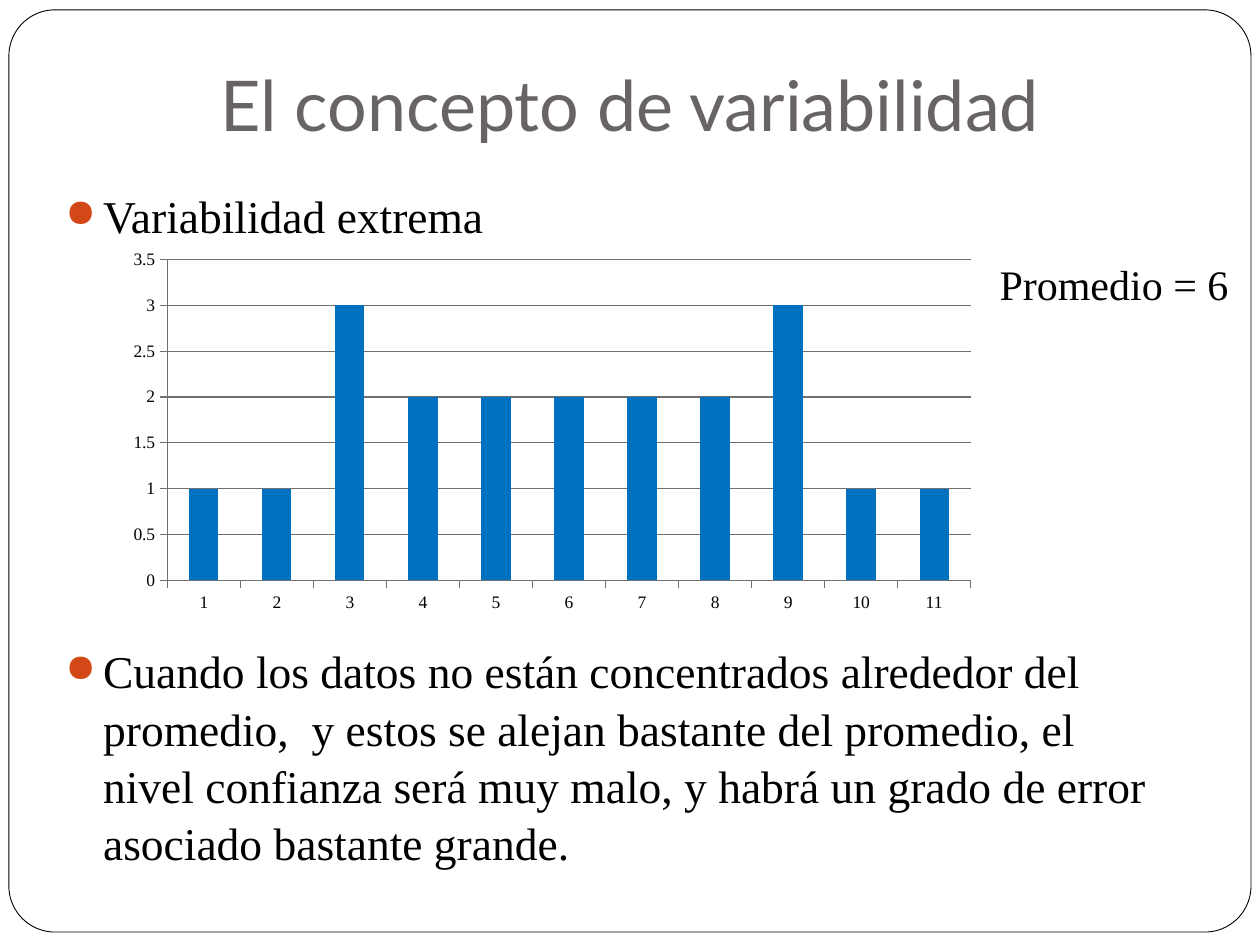
from dataclasses import dataclass

from lxml.etree import SubElement
from pptx import Presentation
from pptx.chart.data import CategoryChartData
from pptx.dml.color import RGBColor
from pptx.enum.chart import XL_CHART_TYPE as ChartType, XL_TICK_MARK as Tick
from pptx.enum.shapes import MSO_SHAPE as Shape
from pptx.enum.text import MSO_ANCHOR as Anchor, PP_ALIGN as Align
from pptx.oxml.ns import qn
from pptx.util import Cm, Pt


@dataclass(frozen=True)
class Theme:
    title_font: str = "Lato"
    body_font: str = "Times New Roman"
    title_size: int = 40
    body_size: int = 26
    note_size: int = 24
    chart_size: int = 10
    title: str = "696464"
    text: str = "000000"
    paper: str = "FFFFFF"
    bullet: str = "D34817"
    bar: str = "0070C0"
    grid: str = "707070"


THEME = Theme()
FREQUENCIES = [1, 1, 3, 2, 2, 2, 2, 2, 3, 1, 1]
BULLETS = [
    "Variabilidad extrema",
    "Cuando los datos no están concentrados alrededor del promedio,  y estos "
    "se alejan bastante del promedio, el nivel confianza será muy malo, y "
    "habrá un grado de error asociado bastante grande.",
]
CHART_GAP = Pt(227.5)


def rgb(value):
    return RGBColor.from_string(value)


def set_font(font, name, size, color):
    font.name, font.size = name, Pt(size)
    font.color.rgb = rgb(color)


def add_frame(slide):
    sp = slide.shapes.add_shape(Shape.ROUNDED_RECTANGLE,
                                Cm(0.18), Cm(0.2), Cm(25.04), Cm(18.59))
    sp.adjustments[0] = 0.05
    sp.shadow.inherit = False
    sp.fill.solid()
    sp.fill.fore_color.rgb = rgb(THEME.paper)
    sp.line.color.rgb = rgb(THEME.text)
    sp.line.width = Pt(0.5)


def add_text(slide, box, paragraphs, font, size, color):
    tf = slide.shapes.add_textbox(*map(Cm, box)).text_frame
    tf.word_wrap = True
    tf.text = "\n".join(paragraphs)
    for p in tf.paragraphs:
        for r in p.runs:
            set_font(r.font, font, size, color)
    return tf


def add_bullet(p):
    pPr = p._p.get_or_add_pPr()
    pPr.set("marL", str(Cm(0.76)))
    pPr.set("indent", str(-Cm(0.76)))
    color = SubElement(pPr, qn("a:buClr"))
    SubElement(color, qn("a:srgbClr"), val=THEME.bullet)
    SubElement(pPr, qn("a:buSzPct"), val="85000")
    SubElement(pPr, qn("a:buChar"), char="●")


def add_bullets(slide):
    """Two points, with room for the chart between them."""
    tf = add_text(slide, (1.07, 3.61, 22.66, 14.6), BULLETS,
                  THEME.body_font, THEME.body_size, THEME.text)
    for p in tf.paragraphs:
        p.line_spacing = 1.05
    tf.paragraphs[1].space_before = CHART_GAP
    for p in tf.paragraphs:
        add_bullet(p)


def add_column_chart(slide):
    data = CategoryChartData()
    data.categories = [str(n) for n in range(1, len(FREQUENCIES) + 1)]
    data.add_series("Series 1", FREQUENCIES)
    chart = slide.shapes.add_chart(ChartType.COLUMN_CLUSTERED, Cm(2.34), Cm(4.88),
                                   Cm(17.58), Cm(7.62), data).chart
    chart.has_legend = chart.has_title = False
    set_font(chart.font, THEME.body_font, THEME.chart_size, THEME.text)

    plot = chart.plots[0]
    plot.gap_width = 150
    plot.vary_by_categories = False
    fill = plot.series[0].format.fill
    fill.solid()
    fill.fore_color.rgb = rgb(THEME.bar)

    values = chart.value_axis
    values.minimum_scale, values.maximum_scale, values.major_unit = 0, 3.5, 0.5
    values.has_major_gridlines = True
    for axis in (chart.category_axis, values):
        axis.major_tick_mark = Tick.OUTSIDE
        axis.minor_tick_mark = Tick.NONE
    for part in (chart.category_axis, values, values.major_gridlines):
        part.format.line.color.rgb = rgb(THEME.grid)
        part.format.line.width = Pt(0.75)


def add_title(slide):
    tf = add_text(slide, (1.9, 0, 21.59, 3.18), ["El concepto de variabilidad"],
                  THEME.title_font, THEME.title_size, THEME.title)
    tf.vertical_anchor = Anchor.BOTTOM
    tf.margin_bottom = Cm(0.25)
    tf.paragraphs[0].alignment = Align.CENTER


def main():
    prs = Presentation()
    prs.slide_width, prs.slide_height = Cm(25.4), Cm(19.05)
    slide = prs.slides.add_slide(prs.slide_layouts[6])
    add_frame(slide)
    add_bullets(slide)
    add_title(slide)
    add_column_chart(slide)
    add_text(slide, (19.9, 5.08, 5.5, 1.28), ["Promedio = 6"],
             THEME.body_font, THEME.note_size, THEME.text)
    prs.save("out.pptx")


if __name__ == "__main__":
    main()
